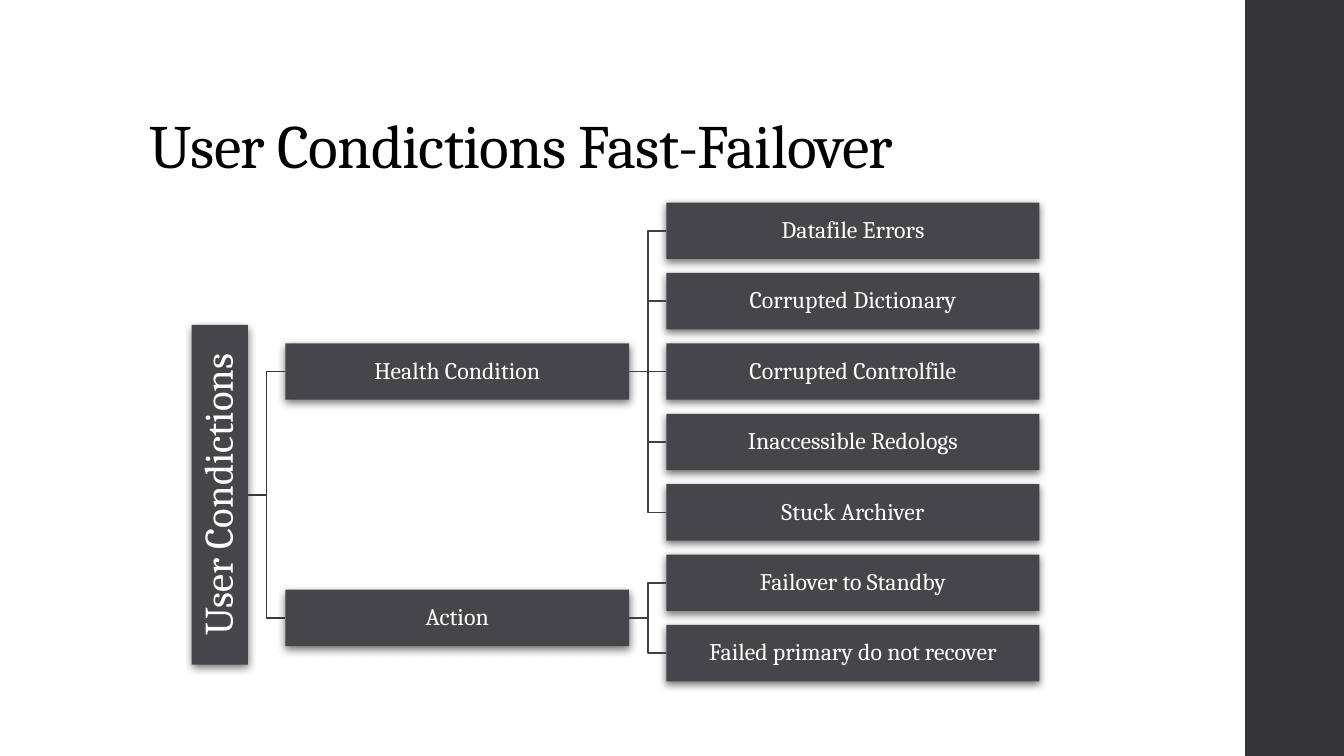
"""Slide with a left-to-right tree of fast-failover user conditions."""
from lxml import etree
from pptx import Presentation
from pptx.dml.color import RGBColor
from pptx.enum.shapes import MSO_CONNECTOR as LINE, MSO_SHAPE as SHAPE
from pptx.enum.text import MSO_ANCHOR as ANCHOR, PP_ALIGN as ALIGN
from pptx.oxml.ns import qn
from pptx.util import Inches, Pt

TITLE = "User Condictions Fast-Failover"
ROOT = "User Condictions"
BRANCHES = [
    ("Health Condition", ["Datafile Errors", "Corrupted Dictionary",
                          "Corrupted Controlfile", "Inaccessible Redologs",
                          "Stuck Archiver"]),
    ("Action", ["Failover to Standby", "Failed primary do not recover"]),
]
FONT = "Cambria"
COLORS = {"bar": "353537", "box": "46464A", "root_line": "38383B",
          "leaf_line": "404043", "title": "000000", "text": "FFFFFF"}
WIDTH, HEIGHT = 13.33, 7.5
BOX_H, ROOT_H = 0.56, 3.37
COL_W = [BOX_H, 3.41, 3.7]
COL_GAP = 0.37
COL_X = [1.9 + sum(COL_W[:i]) + COL_GAP * i for i in range(3)]
FIRST_ROW, ROW_STEP = 2.29, 4.19 / 6


def rgb(name):
    return RGBColor.from_string(COLORS[name])


def write(sp, text, size, color, align, anchor, inset=None):
    tf = sp.text_frame
    tf.word_wrap = True
    tf.vertical_anchor = anchor
    if inset is not None:
        tf.margin_left = tf.margin_right = Inches(inset)
        tf.margin_top = tf.margin_bottom = Inches(inset)
    p = tf.paragraphs[0]
    p.text, p.alignment, p.line_spacing = text, align, 0.9
    p.font.name, p.font.size, p.font.color.rgb = FONT, Pt(size), rgb(color)
    return p


def add_rect(s, x, y, w, h, color):
    sp = s.shapes.add_shape(SHAPE.RECTANGLE, *map(Inches, (x, y, w, h)))
    sp.shadow.inherit = False
    sp.fill.solid()
    sp.fill.fore_color.rgb = rgb(color)
    sp.line.fill.background()
    return sp


def add_box(s, text, col, row, h=BOX_H, size=17):
    y = FIRST_ROW + ROW_STEP * row - h / 2
    sp = add_rect(s, COL_X[col], y, COL_W[col], h, "box")
    effects = sp._element.spPr.find(qn("a:effectLst"))
    shadow = etree.SubElement(effects, qn("a:outerShdw"), blurRad=str(Pt(6)),
                              dist=str(Pt(2)), dir="5400000", rotWithShape="0")
    black = etree.SubElement(shadow, qn("a:srgbClr"), val="000000")
    etree.SubElement(black, qn("a:alpha"), val="55000")
    write(sp, text, size, "text", ALIGN.CENTER, ANCHOR.MIDDLE, 0.01)
    return sp


def join(s, parent, child, color):
    level = abs(parent.top + parent.height / 2 - child.top - child.height / 2) < Pt(1)
    c = s.shapes.add_connector(LINE.STRAIGHT if level else LINE.ELBOW, 0, 0, 0, 0)
    c.begin_connect(parent, 3)
    c.end_connect(child, 1)
    c.line.color.rgb, c.line.width = rgb(color), Pt(1.1)
    etree.SubElement(c._element.spPr, qn("a:effectLst"))


def add_tree(s):
    branches, row = [], 0
    for name, leaves in BRANCHES:
        middle = row + (len(leaves) - 1) / 2
        branch = add_box(s, name, 1, middle)
        for i, leaf in enumerate(leaves, row):
            join(s, branch, add_box(s, leaf, 2, i), "leaf_line")
        branches.append((branch, middle))
        row += len(leaves)
    center = sum(middle for _, middle in branches) / len(branches)
    root = add_box(s, ROOT, 0, center, ROOT_H, 29)
    root.text_frame._txBody.bodyPr.set("vert", "vert270")
    for branch, _ in branches:
        join(s, root, branch, "root_line")


def main():
    prs = Presentation()
    prs.slide_width, prs.slide_height = Inches(WIDTH), Inches(HEIGHT)
    s = prs.slides.add_slide(prs.slide_layouts[6])
    add_rect(s, 12.35, 0, WIDTH - 12.35, HEIGHT, "bar")
    title = s.shapes.add_textbox(*map(Inches, (1.38, 0.4, 10.6, 1.45)))
    p = write(title, TITLE, 44, "title", ALIGN.LEFT, ANCHOR.BOTTOM)
    p.runs[0].font._element.set("spc", "-50")
    add_tree(s)
    prs.save("out.pptx")


if __name__ == "__main__":
    main()
